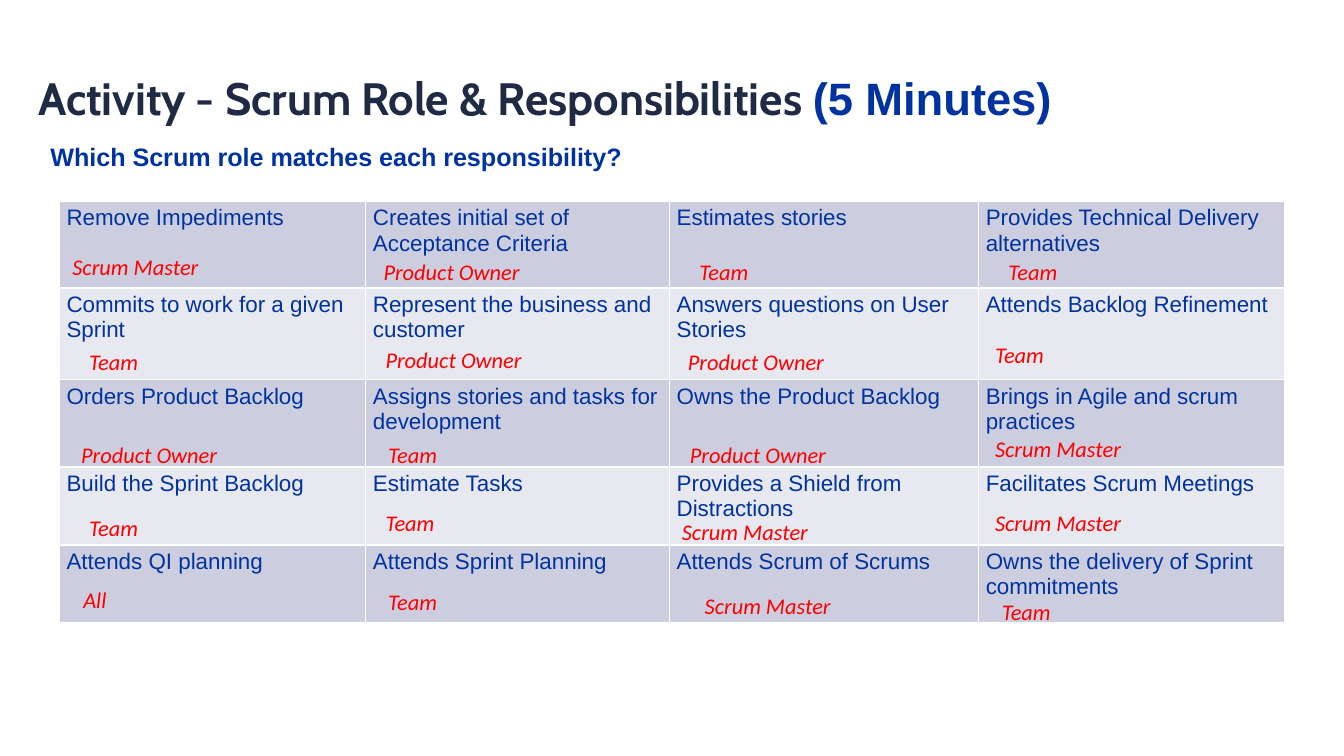
"""Build the Scrum roles and responsibilities activity slide."""
from lxml.etree import SubElement
from pptx import Presentation
from pptx.dml.color import RGBColor
from pptx.enum.text import MSO_ANCHOR as ANCHOR, MSO_AUTO_SIZE as AUTO
from pptx.oxml.ns import qn
from pptx.util import Pt

PX = 4572
NAVY = RGBColor(0x1F, 0x2A, 0x44)
BLUE = RGBColor(0x00, 0x33, 0xA0)
RED = RGBColor(0xFF, 0x00, 0x00)
BANDS = [RGBColor(0xCC, 0xCE, 0xDF), RGBColor(0xE7, 0xE8, 0xF0)]

TITLE = dict(name="Cabin", size=Pt(24.3), bold=True, color=NAVY)
MINUTES = dict(TITLE, name="Arial", color=BLUE)
QUESTION = dict(MINUTES, size=Pt(13.5))
DUTY = dict(name="Arial", size=Pt(12), bold=False, color=BLUE)
ANSWER = dict(name="Calibri", size=Pt(12), italic=True, color=RED)

COLS = [456, 452, 460, 456]
ROWS = [129, 136, 130, 116, 116]
SM, PO, TEAM, ALL = "Scrum Master", "Product Owner", "Team", "All"
GRID = [
    [("Remove Impediments", SM, 88, 367),
     ("Creates initial set of Acceptance Criteria", PO, 551, 374),
     ("Estimates stories", TEAM, 1021, 374),
     ("Provides Technical Delivery alternatives", TEAM, 1481, 374)],
    [("Commits to work for a given Sprint", TEAM, 113, 508),
     ("Represent the business and customer", PO, 554, 506),
     ("Answers questions on User Stories", PO, 1004, 508),
     ("Attends Backlog Refinement", TEAM, 1461, 498)],
    [("Orders Product Backlog", PO, 101, 647),
     ("Assigns stories and tasks for development", TEAM, 558, 646),
     ("Owns the Product Backlog", PO, 1007, 646),
     ("Brings in Agile and scrum practices", SM, 1461, 638)],
    [("Build the Sprint Backlog", TEAM, 113, 756),
     ("Estimate Tasks", TEAM, 554, 748),
     ("Provides a Shield from Distractions", SM, 995, 761),
     ("Facilitates Scrum Meetings", SM, 1461, 748)],
    [("Attends QI planning", ALL, 110, 864),
     ("Attends Sprint Planning", TEAM, 558, 866),
     ("Attends Scrum of Scrums", SM, 1029, 872),
     ("Owns the delivery of Sprint commitments", TEAM, 1471, 880)],
]


def add_run(p, text, fmt):
    r = p.add_run()
    r.text = text
    for key, value in fmt.items():
        if key == "color":
            r.font.color.rgb = value
        else:
            setattr(r.font, key, value)


def add_text(x, y, w, h, runs, **frame):
    tf = s.shapes.add_textbox(x * PX, y * PX, w * PX, h * PX).text_frame
    tf.word_wrap = True
    for key, value in frame.items():
        setattr(tf, key, value)
    for text, fmt in runs:
        add_run(tf.paragraphs[0], text, fmt)
    return tf


prs = Presentation()
prs.slide_width, prs.slide_height = 2000 * PX, 1125 * PX
s = prs.slides.add_slide(prs.slide_layouts[6])

flush = dict(margin_left=0, margin_top=0, margin_right=0, margin_bottom=0)
tight = dict(margin_left=14 * PX, margin_top=8 * PX,
             margin_right=14 * PX, margin_bottom=8 * PX)
add_text(57, 100, 1816, 86,
         [("Activity - Scrum Role & Responsibilities ", TITLE), ("(5 Minutes)", MINUTES)],
         vertical_anchor=ANCHOR.BOTTOM, **flush)
tf = add_text(75, 216, 1362, 96,
              [("Which Scrum role matches each responsibility?", QUESTION)], **flush)
tf.paragraphs[0].line_spacing = 0.9
tf.paragraphs[0].space_before = Pt(2.8)

table = s.shapes.add_table(len(ROWS), len(COLS), 88 * PX, 300 * PX,
                           sum(COLS) * PX, sum(ROWS) * PX).table
table.first_row = False
for col, width in zip(table.columns, COLS):
    col.width = width * PX
for row, height in zip(table.rows, ROWS):
    row.height = height * PX

for i, line in enumerate(GRID):
    for j, (duty, role, x, y) in enumerate(line):
        cell = table.cell(i, j)
        cell.margin_left = cell.margin_right = 11 * PX
        cell.margin_top = cell.margin_bottom = 6 * PX
        add_run(cell.text_frame.paragraphs[0], duty, DUTY)
        tcPr = cell._tc.get_or_add_tcPr()
        for side in ("a:lnL", "a:lnR", "a:lnT", "a:lnB"):
            ln = SubElement(tcPr, qn(side), w=str(Pt(1)))
            SubElement(SubElement(ln, qn("a:solidFill")), qn("a:srgbClr"), val="FFFFFF")
        cell.fill.solid()
        cell.fill.fore_color.rgb = BANDS[i % 2]
        add_text(x, y, 262 if i == j == 0 else 324, 56 if role == ALL else 60,
                 [(role, ANSWER)], auto_size=AUTO.SHAPE_TO_FIT_TEXT,
                 **(tight if role == ALL else {}))

prs.save("out.pptx")
